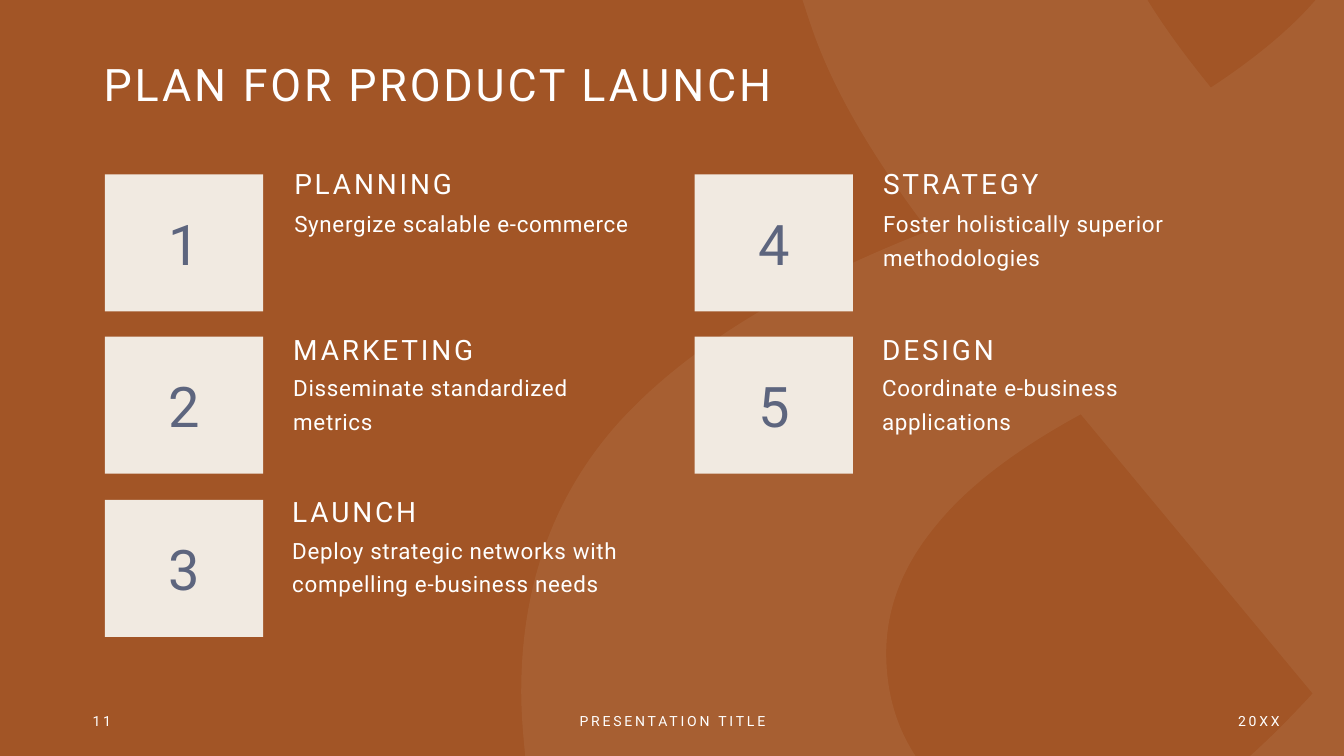
"""Build the product launch plan slide with five numbered steps."""
from typing import NamedTuple

from lxml import etree
from pptx import Presentation
from pptx.dml.color import RGBColor
from pptx.enum.shapes import MSO_SHAPE
from pptx.enum.text import MSO_ANCHOR, PP_ALIGN
from pptx.oxml.ns import qn
from pptx.util import Inches, Pt

RECT = MSO_SHAPE.RECTANGLE
TOP, MIDDLE = MSO_ANCHOR.TOP, MSO_ANCHOR.MIDDLE
LEFT, CENTER, RIGHT = PP_ALIGN.LEFT, PP_ALIGN.CENTER, PP_ALIGN.RIGHT

RUST = RGBColor(0xA2, 0x55, 0x26)
SAND = RGBColor(0xD6, 0xBF, 0xA5)
CREAM = RGBColor(0xF1, 0xEA, 0xE1)
SLATE = RGBColor(0x5D, 0x65, 0x7E)
WHITE = RGBColor(0xFF, 0xFF, 0xFF)
FONT = "Roboto"

CARD_LEFT, CARD_W, CARD_H, COLUMN_PITCH = 1.04, 1.57, 1.36, 5.85
TEXT_LEFT, TEXT_W, TEXT_PITCH, ROW_SHIFT = 2.82, 3.68, 5.84, 0.01

Point = tuple[float, float]


class Style(NamedTuple):
    size: float
    color: RGBColor = WHITE
    tracking: float = 2
    line_spacing: float = 1.0
    align: PP_ALIGN = LEFT
    anchor: MSO_ANCHOR = TOP


class Row(NamedTuple):
    card_top: float
    heading_top: float
    body_top: float


class Step(NamedTuple):
    column: int
    row: int
    heading: str
    body: str


class Footer(NamedTuple):
    left: float
    width: float
    text: str
    align: PP_ALIGN


TITLE = Style(32, line_spacing=0.9)
NUMBER = Style(40, SLATE, align=CENTER, anchor=MIDDLE)
HEADING = Style(20, line_spacing=0.8)
BODY = Style(16, tracking=0.5, line_spacing=1.25)

ROWS = [Row(1.73, 1.67, 1.97), Row(3.34, 3.31, 3.6), Row(4.96, 4.92, 5.21)]
STEPS = [
    Step(0, 0, "PLANNING", "Synergize scalable e-commerce"),
    Step(0, 1, "MARKETING", "Disseminate standardized metrics"),
    Step(0, 2, "LAUNCH", "Deploy strategic networks with compelling e-business needs"),
    Step(1, 0, "STRATEGY", "Foster holistically superior methodologies"),
    Step(1, 1, "DESIGN", "Coordinate e-business applications"),
]
FOOTERS = [
    Footer(0.82, 3, "11", LEFT),
    Footer(4.42, 4.5, "PRESENTATION TITLE", CENTER),
    Footer(9.79, 3, "20XX", RIGHT),
]

SWIRL_START: Point = (9.21, 2.29)
SWIRL: list[list[Point]] = [
    [(7.8, 2.84), (6.78, 3.48), (6.13, 4.2)],
    [(5.49, 4.92), (5.17, 5.81), (5.17, 6.86)],
    [(5.17, 7.08), (5.19, 7.3), (5.21, 7.5)],
    [(9.08, 7.5)],
    [(8.89, 7.21), (8.79, 6.87), (8.79, 6.48)],
    [(8.79, 6.04), (8.95, 5.62), (9.27, 5.23)],
    [(9.58, 4.84), (10.06, 4.47), (10.72, 4.11)],
    [(13.02, 6.88)],
    [(12.8, 7.12), (12.59, 7.33), (12.4, 7.5)],
    [(13.33, 7.5)],
    [(13.33, 0)],
    [(13.05, 0)],
    [(12.8, 0.29), (12.45, 0.58), (12.01, 0.87)],
    [(11.75, 0.55), (11.54, 0.26), (11.38, 0)],
    [(7.96, 0)],
    [(8.01, 0.15), (8.06, 0.31), (8.12, 0.46)],
    [(8.34, 1.02), (8.71, 1.63), (9.21, 2.29)],
]


def paint(sp, color: RGBColor) -> None:
    """Give a shape a plain fill without line or shadow."""
    sp.shadow.inherit = False
    sp.fill.solid()
    sp.fill.fore_color.rgb = color
    sp.line.fill.background()


def bend(sp, segments: list[list[Point]]) -> None:
    """Join each three-point segment of a freeform into one cubic curve."""
    lines = iter(list(sp.element.iter(qn("a:lnTo"))))
    for segment in segments:
        first, *others = [next(lines) for _ in segment]
        if others:
            curve = etree.Element(qn("a:cubicBezTo"))
            first.addprevious(curve)
            for line in (first, *others):
                curve.append(line[0])
                line.getparent().remove(line)


def add_swirl(slide) -> None:
    """Draw the translucent background swirl."""
    points = [SWIRL_START, *(point for segment in SWIRL for point in segment)]
    first, *rest = [(Inches(x), Inches(y)) for x, y in points]
    builder = slide.shapes.build_freeform(*first)
    builder.add_line_segments(rest, close=True)
    sp = builder.convert_to_shape()
    bend(sp, SWIRL)
    paint(sp, SAND)
    color = sp.element.spPr.find(f"{qn('a:solidFill')}/{qn('a:srgbClr')}")
    etree.SubElement(color, qn("a:alpha")).set("val", "10000")


def write(sp, text: str, style: Style) -> None:
    """Write one styled paragraph into a shape."""
    tf = sp.text_frame
    tf.word_wrap = True
    tf.vertical_anchor = style.anchor
    p = tf.paragraphs[0]
    p.alignment = style.align
    p.line_spacing = style.line_spacing
    r = p.add_run()
    r.text = text
    r.font.name = FONT
    r.font.size = Pt(style.size)
    r.font.color.rgb = style.color
    r.font._element.set("spc", str(int(style.tracking * 100)))


def add_text(slide, left: float, top: float, width: float, height: float,
             text: str, style: Style) -> None:
    """Add a text box."""
    sp = slide.shapes.add_textbox(Inches(left), Inches(top), Inches(width), Inches(height))
    write(sp, text, style)


def add_step(slide, number: int, step: Step) -> None:
    """Add a numbered card with its heading and body."""
    row = ROWS[step.row]
    sp = slide.shapes.add_shape(
        RECT, Inches(CARD_LEFT + step.column * COLUMN_PITCH), Inches(row.card_top),
        Inches(CARD_W), Inches(CARD_H))
    paint(sp, CREAM)
    write(sp, str(number), NUMBER)
    left = TEXT_LEFT + step.column * TEXT_PITCH - step.row * ROW_SHIFT
    add_text(slide, left, row.heading_top, TEXT_W, 0.4, step.heading, HEADING)
    body_height = row.card_top + CARD_H - row.body_top
    add_text(slide, left, row.body_top, TEXT_W, body_height, step.body, BODY)


def main() -> None:
    """Build and save the slide."""
    prs = Presentation()
    prs.slide_width, prs.slide_height = Inches(13.33), Inches(7.5)
    slide = prs.slides.add_slide(prs.slide_layouts[6])
    slide.background.fill.solid()
    slide.background.fill.fore_color.rgb = RUST
    add_swirl(slide)
    add_text(slide, 0.93, 0.57, 11.27, 0.59, "PLAN FOR PRODUCT LAUNCH", TITLE)
    for number, step in enumerate(STEPS, start=1):
        add_step(slide, number, step)
    for footer in FOOTERS:
        style = Style(10, align=footer.align, anchor=MIDDLE)
        add_text(slide, footer.left, 6.95, footer.width, 0.4, footer.text, style)
    prs.save("out.pptx")


if __name__ == "__main__":
    main()
